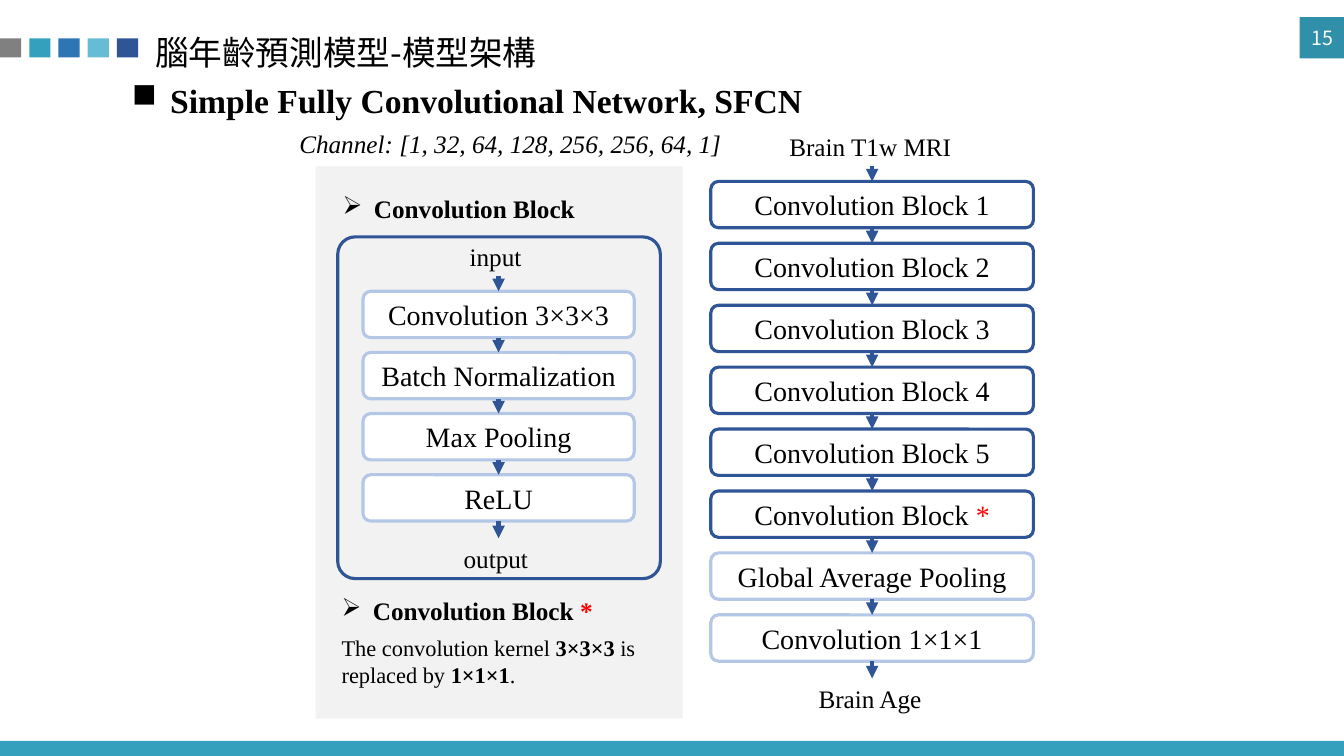
import pptx
import pptx.util
import pptx.dml.color
import pptx.enum.shapes
import pptx.enum.text
import pptx.oxml.ns
from lxml import etree

Inches, Pt = pptx.util.Inches, pptx.util.Pt
SHAPE = pptx.enum.shapes.MSO_SHAPE
ALIGN = pptx.enum.text.PP_ALIGN
ANCHOR = pptx.enum.text.MSO_ANCHOR
qn = pptx.oxml.ns.qn

SERIF = "Times New Roman"
CJK = "Noto Sans CJK SC"
COLORS = {
    "black": "000000", "white": "FFFFFF", "red": "FF0000", "grey": "808080",
    "panel": "F2F2F2", "teal": "35A0BD", "dark teal": "3090AA",
    "light teal": "66BCD4", "blue": "2E75B6", "navy": "2F5597",
    "pale blue": "B4C7E7",
}


def rgb(name):
    return pptx.dml.color.RGBColor.from_string(COLORS[name])


def add_bullet(p, char, indent):
    pPr = p._p.get_or_add_pPr()
    pPr.set("marL", str(Inches(indent)))
    pPr.set("indent", str(-Inches(indent)))
    etree.SubElement(pPr, qn("a:buChar")).set("char", char)


def write(p, text, size=18, font=SERIF, color="black", bold=False,
          italic=False, align=ALIGN.LEFT, bullet=None, indent=0.31):
    """Fill a paragraph; text is a string or a list of (string, changes)."""
    p.alignment = align
    if bullet:
        add_bullet(p, bullet, indent)
    runs = [(text, {})] if isinstance(text, str) else text
    for words, changes in runs:
        r = p.add_run()
        r.text = words
        r.font.size = Pt(size)
        r.font.name = font
        r.font.bold = changes.get("bold", bold)
        r.font.italic = italic
        r.font.color.rgb = rgb(changes.get("color", color))
        if font == CJK:
            ea = etree.SubElement(r._r.get_or_add_rPr(), qn("a:ea"))
            ea.set("typeface", font)


def add_text(s, x, y, w, h, text, anchor=ANCHOR.TOP, wrap=True, **fmt):
    sp = s.shapes.add_textbox(Inches(x), Inches(y), Inches(w), Inches(h))
    tf = sp.text_frame
    tf.word_wrap = wrap
    tf.vertical_anchor = anchor
    write(tf.paragraphs[0], text, **fmt)
    return tf


def add_box(s, x, y, w, h, fill=None, line=None, kind=SHAPE.RECTANGLE):
    sp = s.shapes.add_shape(kind, Inches(x), Inches(y), Inches(w), Inches(h))
    sp.shadow.inherit = False
    if fill:
        sp.fill.solid()
        sp.fill.fore_color.rgb = rgb(fill)
    else:
        sp.fill.background()
    if line:
        sp.line.color.rgb = rgb(line)
        sp.line.width = Pt(2.25)
    else:
        sp.line.fill.background()
    return sp


def add_arrow(s, x, top, bottom):
    cxn = s.shapes.add_connector(pptx.enum.shapes.MSO_CONNECTOR.STRAIGHT,
                                 Inches(x), Inches(top), Inches(x), Inches(bottom))
    cxn.line.color.rgb = rgb("navy")
    cxn.line.width = Pt(3)
    etree.SubElement(cxn.line._get_or_add_ln(), qn("a:tailEnd")).set("type", "triangle")
    etree.SubElement(cxn._element.spPr, qn("a:effectLst"))


def add_stack(s, x, w, start, first, last, end, layers):
    """Evenly spaced layer boxes, joined by arrows running from start to end."""
    height = 0.46
    pitch = (last - first) / (len(layers) - 1)
    arrow_top = start
    for i, (text, line) in enumerate(layers):
        y = first + i * pitch
        sp = add_box(s, x, y, w, height, "white", line, SHAPE.ROUNDED_RECTANGLE)
        sp.text_frame.vertical_anchor = ANCHOR.MIDDLE
        write(sp.text_frame.paragraphs[0], text, size=20, align=ALIGN.CENTER)
        add_arrow(s, x + w / 2, arrow_top, y)
        arrow_top = y + height
    add_arrow(s, x + w / 2, arrow_top, end)


def add_decoration(s):
    add_box(s, 0, 7.35, 13.33, 0.15, "teal")
    for i, color in enumerate(["grey", "teal", "blue", "light teal", "navy"]):
        add_box(s, 0.29 * i, 0.38, 0.21, 0.19, color)
    add_box(s, 12.89, 0.17, 0.45, 0.41, "dark teal")
    tf = add_text(s, 12.89, 0.28, 0.45, 0.27, "15", size=14, font=CJK,
                  color="white", align=ALIGN.CENTER)
    tf.paragraphs[0].line_spacing = Pt(12)


def add_block_detail(s):
    add_box(s, 3.13, 1.65, 3.64, 5.48, "panel")
    add_text(s, 3.29, 1.8, 2.52, 0.54, "Convolution Block", bold=True,
             anchor=ANCHOR.MIDDLE, align=ALIGN.CENTER, bullet="➢")
    add_text(s, 4.56, 2.34, 0.77, 0.4, "input")
    names = ["Convolution 3×3×3", "Batch Normalization", "Max Pooling", "ReLU"]
    add_stack(s, 3.6, 2.69, 2.74, 2.89, 4.71, 5.34,
              [(name, "pale blue") for name in names])
    add_text(s, 4.5, 5.34, 0.9, 0.4, "output")
    frame = add_box(s, 3.35, 2.35, 3.2, 3.39, line="navy",
                    kind=SHAPE.ROUNDED_RECTANGLE)
    frame.adjustments[0] = 0.054

    # Note on the starred block
    tf = add_text(s, 3.29, 5.86, 3.2, 1.03,
                  [("Convolution Block ", {}), ("*", {"color": "red"})],
                  bold=True, bullet="➢")
    p = tf.add_paragraph()
    p.space_before = Pt(6)
    write(p, [("The convolution kernel ", {}), ("3×3×3", {"bold": True}),
              (" is replaced by ", {}), ("1×1×1", {"bold": True}), (".", {})],
          size=16)


def add_network(s):
    add_text(s, 7.73, 1.25, 1.85, 0.4, "Brain T1w MRI", wrap=False)
    layers = [(f"Convolution Block {n}", "navy") for n in range(1, 6)]
    layers += [
        ([("Convolution Block ", {}), ("*", {"color": "red"})], "navy"),
        ("Global Average Pooling", "pale blue"),
        ("Convolution 1×1×1", "pale blue"),
    ]
    add_stack(s, 7.05, 3.2, 1.65, 1.8, 6.1, 6.73, layers)
    add_text(s, 8.02, 6.73, 1.27, 0.4, "Brain Age", wrap=False)


def main():
    prs = pptx.Presentation()
    prs.slide_width, prs.slide_height = Inches(13.33), Inches(7.5)
    s = prs.slides.add_slide(prs.slide_layouts[6])

    add_decoration(s)

    # Headings
    tf = add_text(s, 1.44, 0.17, 11.36, 0.75, "腦年齡預測模型-模型架構",
                  size=24, font=CJK, anchor=ANCHOR.MIDDLE)
    tf.paragraphs[0].line_spacing = 0.9
    add_text(s, 1.21, 0.72, 7.43, 0.54, "Simple Fully Convolutional Network, SFCN",
             size=24, bold=True, anchor=ANCHOR.MIDDLE, bullet="■", indent=0.38)
    add_text(s, 2.87, 1.22, 4.43, 0.4, "Channel: [1, 32, 64, 128, 256, 256, 64, 1]",
             italic=True, wrap=False)

    # Diagrams
    add_block_detail(s)
    add_network(s)

    prs.save("out.pptx")


if __name__ == "__main__":
    main()
